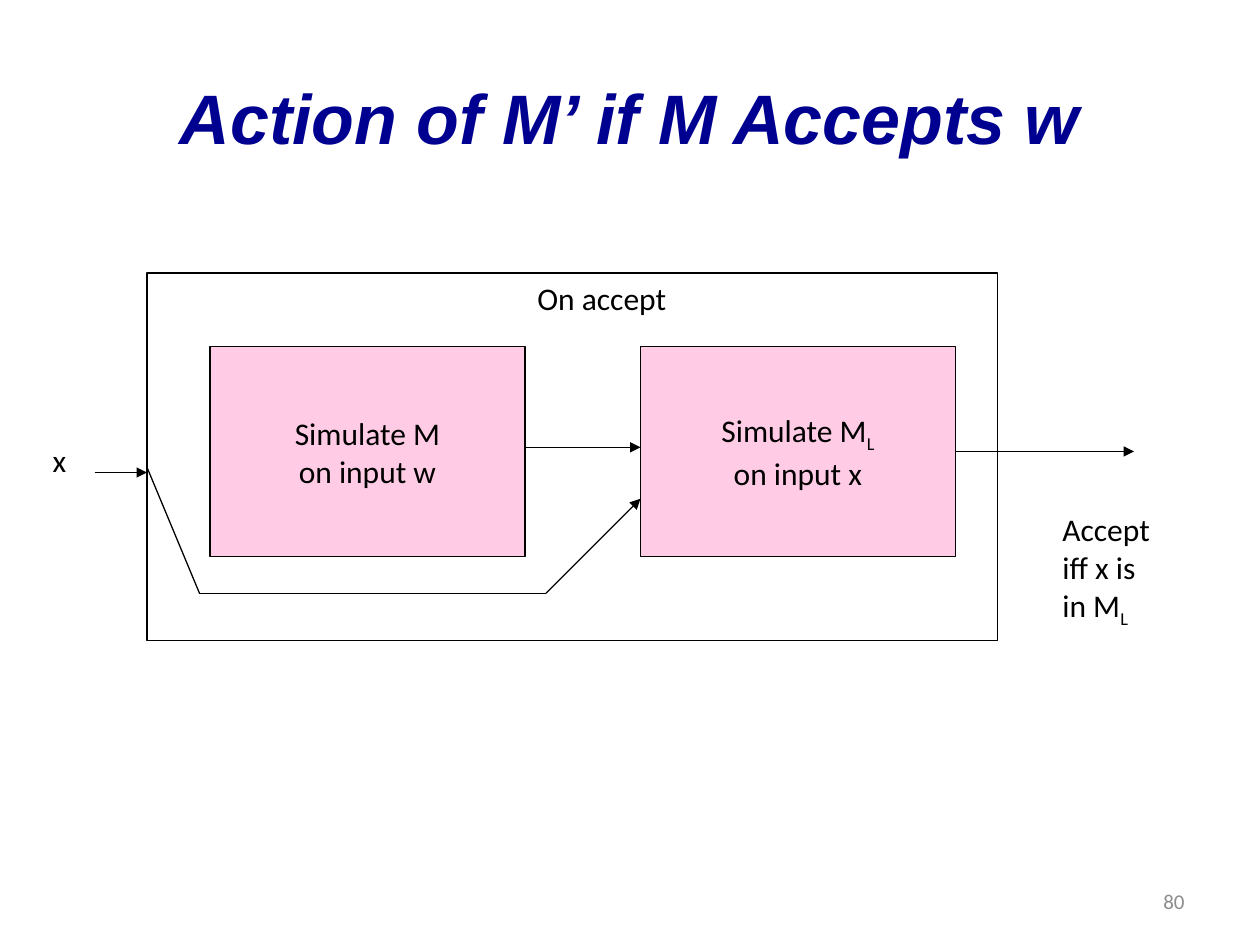
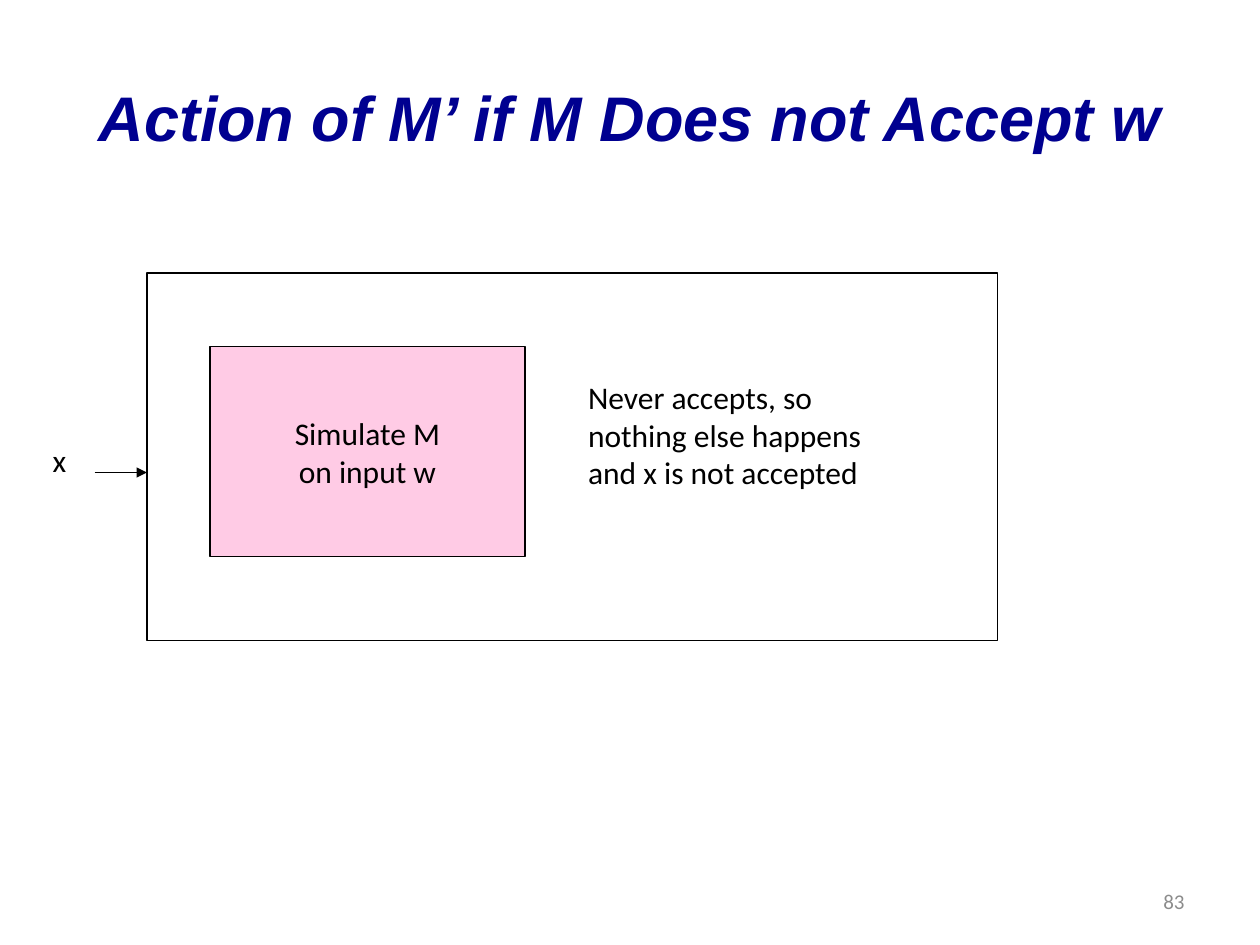
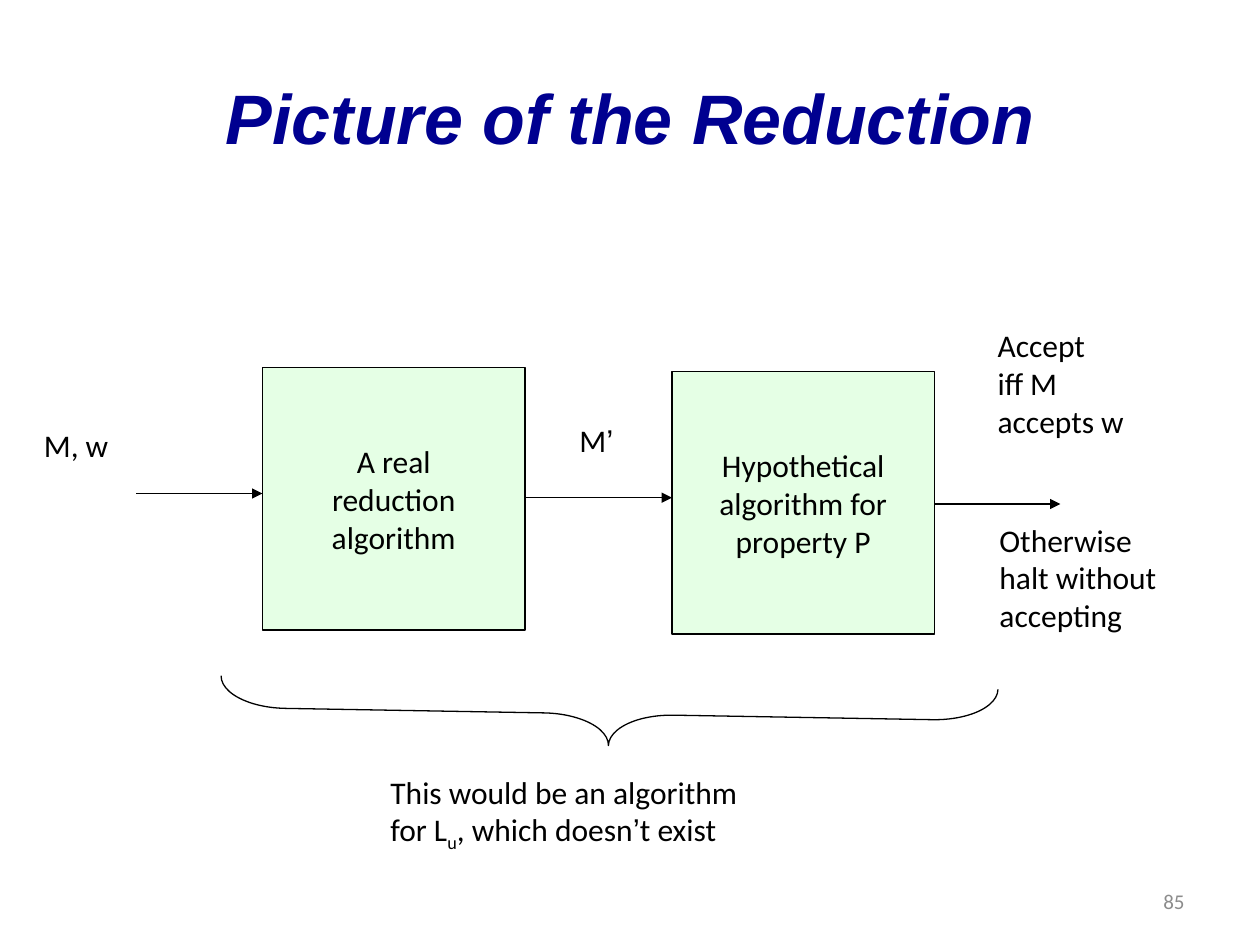
from itertools import pairwise

from lxml import etree
from pptx import Presentation
from pptx.dml.color import RGBColor
from pptx.enum import shapes, text
from pptx.oxml.ns import qn
from pptx.util import Pt

# Shared look
NAVY = RGBColor(0x00, 0x00, 0x90)
GREY = RGBColor(0x8C, 0x8C, 0x8C)
BLACK = RGBColor(0x00, 0x00, 0x00)
PINK = RGBColor(0xFF, 0x99, 0xCC)
GREEN = RGBColor(0xCC, 0xFF, 0xCC)
BODY_FONT, TITLE_FONT = "Calibri", "Arial"
LEFT, CENTER, RIGHT = text.PP_ALIGN.LEFT, text.PP_ALIGN.CENTER, text.PP_ALIGN.RIGHT
TOP, MIDDLE = text.MSO_ANCHOR.TOP, text.MSO_ANCHOR.MIDDLE


def write(shape, lines, size=18, color=BLACK, font=BODY_FONT, align=LEFT,
          anchor=TOP, strong=False):
    """A line is a string, or a tuple of pieces; "_L" is a subscript L."""
    frame = shape.text_frame
    frame.word_wrap = True
    frame.vertical_anchor = anchor
    for number, line in enumerate(lines):
        paragraph = frame.add_paragraph() if number else frame.paragraphs[0]
        paragraph.alignment = align
        paragraph.font.name = font
        paragraph.font.size = Pt(size)
        paragraph.font.color.rgb = color
        if strong:
            paragraph.font.bold = paragraph.font.italic = True
        for piece in (line,) if isinstance(line, str) else line:
            run = paragraph.add_run()
            run.text = piece.removeprefix("_")
            if piece.startswith("_"):
                run.font._element.set("baseline", "-25000")
            elif piece == "’":
                run.font.name = TITLE_FONT


def add_label(slide, left, top, width, height, lines, **style):
    label = slide.shapes.add_textbox(Pt(left), Pt(top), Pt(width), Pt(height))
    write(label, lines, **style)


def add_outline(slide, kind, left, top, width, height):
    outline = slide.shapes.add_shape(kind, Pt(left), Pt(top), Pt(width), Pt(height))
    outline.shadow.inherit = False
    outline.fill.background()
    outline.line.color.rgb = BLACK
    outline.line.width = Pt(0.75)
    return outline


def add_step(slide, left, top, width, height, color, lines):
    """A half-transparent box with centred words."""
    step = add_outline(slide, shapes.MSO_SHAPE.RECTANGLE, left, top, width, height)
    step.fill.solid()
    step.fill.fore_color.rgb = color
    tint = step._element.spPr.find(qn("a:solidFill"))[0]
    etree.SubElement(tint, qn("a:alpha"), val="50000")
    write(step, lines, align=CENTER, anchor=MIDDLE)


def add_arrow(slide, *points):
    """A line through the points, with an arrowhead at the last one."""
    for start, end in pairwise(points):
        line = slide.shapes.add_connector(
            shapes.MSO_CONNECTOR.STRAIGHT, *map(Pt, start + end))
        line.line.color.rgb = BLACK
        line.line.width = Pt(0.75)
        properties = line._element.spPr
        if end == points[-1]:
            etree.SubElement(properties.find(qn("a:ln")), qn("a:tailEnd"), type="triangle")
        etree.SubElement(properties, qn("a:effectLst"))


def add_slide(deck, title, number, title_size=40):
    slide = deck.slides.add_slide(deck.slide_layouts[6])
    add_label(slide, 516, 500.5, 168, 28.75, [str(number)], size=12, color=GREY,
              align=RIGHT, anchor=MIDDLE)
    add_label(slide, 36, 21.6, 648, 90, [title], size=title_size, color=NAVY,
              font=TITLE_FONT, align=CENTER, anchor=MIDDLE, strong=True)
    return slide


def add_machine(slide):
    """The machine M' with its input x and its first step."""
    add_step(slide, 120, 198, 180, 120, PINK, ["Simulate M", "on input w"])
    add_outline(slide, shapes.MSO_SHAPE.RECTANGLE, 84, 156, 486, 210)
    add_label(slide, 23, 248.4, 26.6, 36, ["x"])
    add_arrow(slide, (54, 270), (84, 270))


def accepting_slide(deck):
    slide = add_slide(deck, "Action of M’ if M Accepts w", 80)
    add_machine(slide)
    # Second step
    add_step(slide, 366, 198, 180, 120, PINK, [("Simulate M", "_L"), "on input x"])
    add_label(slide, 300, 156, 121, 36, ["On accept"])
    add_arrow(slide, (300, 255.6), (366, 255.6))
    # Way of x around the first step
    add_arrow(slide, (84, 267), (114, 339), (312, 339), (366, 285))
    # Result
    add_label(slide, 600, 288, 85, 93.6, ["Accept", "iff x is", ("in M", "_L")])
    add_arrow(slide, (546, 258), (648, 258))


def rejecting_slide(deck):
    slide = add_slide(deck, "Action of M’ if M Does not Accept w", 83, title_size=36)
    add_machine(slide)
    add_label(slide, 329, 212.4, 241, 93.6,
              ["Never accepts, so", "nothing else happens", "and x is not accepted"])


def reduction_slide(deck):
    slide = add_slide(deck, "Picture of the Reduction", 85)
    # Reduction
    add_step(slide, 150, 210, 150, 150, GREEN, ["A real", "reduction", "algorithm"])
    add_label(slide, 18, 240, 65.5, 36, ["M, w"])
    add_arrow(slide, (78, 282), (150, 282))
    # Hypothetical algorithm
    add_step(slide, 384, 212.4, 150, 150, GREEN,
             ["Hypothetical", "algorithm for", "property P"])
    add_arrow(slide, (300, 284.4), (384, 284.4))
    add_label(slide, 324, 237, 38, 36, [("M", "’")])
    # Results
    add_arrow(slide, (534, 288), (606, 288))
    add_label(slide, 563, 183, 119.5, 93.6, ["Accept", "iff M", "accepts w"])
    add_label(slide, 564, 294, 140.4, 93.6, ["Otherwise", "halt without", "accepting"])
    # Brace under the whole, with its conclusion
    brace = add_outline(slide, shapes.MSO_SHAPE.LEFT_BRACE, 330, 186, 36, 444)
    brace.rotation = 271
    brace.adjustments[0] = 1.03
    brace.adjustments[1] = 0.5
    add_label(slide, 216, 438, 303, 64.8,
              ["This would be an algorithm",
               ("for L", "_u", ", which doesn", "’", "t exist")])


def main():
    deck = Presentation()
    deck.slide_width, deck.slide_height = Pt(720), Pt(540)
    accepting_slide(deck)
    rejecting_slide(deck)
    reduction_slide(deck)
    deck.save("out.pptx")


main()
